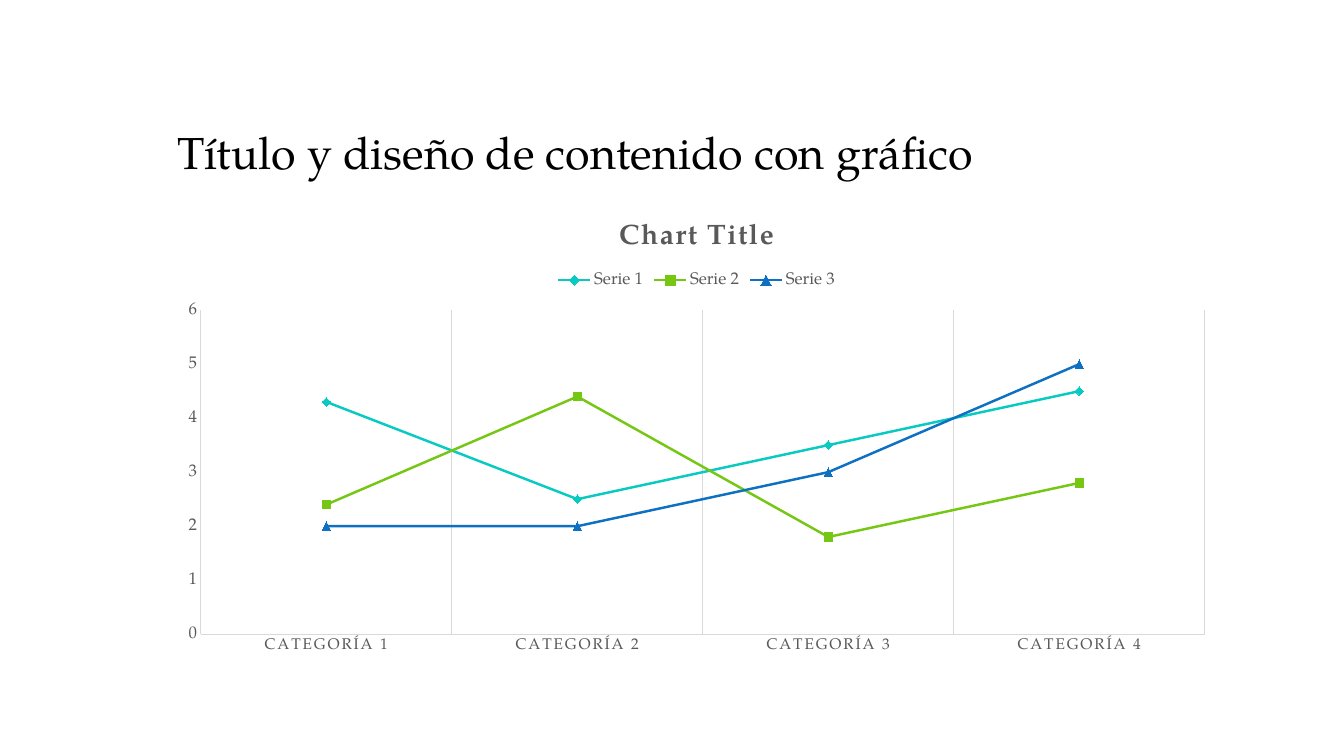
from pptx import Presentation
from pptx import util as u
from pptx.chart.data import CategoryChartData
from pptx.dml.color import RGBColor
from pptx.enum import chart as kinds, text

FACE = "TeX Gyre Pagella"
HUES = {
    "black": "000000",
    "gray": "595959",
    "rule": "D9D9D9",
    "teal": "08CAC1",
    "green": "76C714",
    "blue": "0E70C2",
}
MARKS = kinds.XL_MARKER_STYLE
CATS = [f"CATEGORÍA {n}" for n in range(1, 5)]
SERIES = [
    ("Serie 1", (4.3, 2.5, 3.5, 4.5), "teal", MARKS.DIAMOND),
    ("Serie 2", (2.4, 4.4, 1.8, 2.8), "green", MARKS.SQUARE),
    ("Serie 3", (2, 2, 3, 5), "blue", MARKS.TRIANGLE),
]


def color(name):
    return RGBColor.from_string(HUES[name])


def set_font(font, size, hue, bold=False):
    font.name = FACE
    font.size = u.Pt(size)
    font.bold = bold
    font.color.rgb = color(hue)


def set_line(line, hue, width):
    line.color.rgb = color(hue)
    line.width = u.Pt(width)


def set_fill(fill, hue):
    fill.solid()
    fill.fore_color.rgb = color(hue)


def put_title(slide, words):
    title = slide.shapes.title
    title.left, title.top = u.Inches(1.66), u.Inches(0.58)
    title.width, title.height = u.Inches(10.5), u.Inches(1.25)
    frame = title.text_frame
    frame.text = words
    frame.word_wrap = True
    frame.auto_size = text.MSO_AUTO_SIZE.NONE
    frame.vertical_anchor = text.MSO_ANCHOR.BOTTOM
    para = frame.paragraphs[0]
    para.alignment = text.PP_ALIGN.LEFT
    para.line_spacing = 0.9
    set_font(para.font, 32, "black")


def style_axis(axis, size, grid):
    axis.major_tick_mark = kinds.XL_TICK_MARK.NONE
    axis.minor_tick_mark = kinds.XL_TICK_MARK.NONE
    axis.has_major_gridlines = grid
    if grid:
        set_line(axis.major_gridlines.format.line, "rule", 0.75)
    set_line(axis.format.line, "rule", 0.75)
    set_font(axis.tick_labels.font, size, "gray")


def style_plot(series, hue, mark):
    series.smooth = False
    set_line(series.format.line, hue, 1.75)
    series.marker.style = mark
    series.marker.size = 6
    set_fill(series.marker.format.fill, hue)
    set_line(series.marker.format.line, hue, 0.75)


def put_chart(slide):
    data = CategoryChartData()
    data.categories = CATS
    for name, vals, _, _ in SERIES:
        data.add_series(name, vals)
    chart = slide.shapes.add_chart(
        kinds.XL_CHART_TYPE.LINE_MARKERS,
        u.Inches(1.66), u.Inches(2), u.Inches(10.5), u.Inches(4.58), data,
    ).chart
    set_font(chart.font, 10, "black")

    chart.has_title = True
    frame = chart.chart_title.text_frame
    frame.text = "Chart Title"
    para = frame.paragraphs[0]
    set_font(para.font, 20, "gray", True)
    para.font._element.set("spc", "100")
    chart.chart_title.include_in_layout = False

    chart.has_legend = True
    chart.legend.position = kinds.XL_LEGEND_POSITION.TOP
    chart.legend.include_in_layout = False
    set_font(chart.legend.font, 12, "gray")

    style_axis(chart.category_axis, 11, True)
    chart.category_axis.tick_labels.font._element.set("spc", "120")
    style_axis(chart.value_axis, 12, False)
    chart.value_axis.minimum_scale = 0
    chart.value_axis.maximum_scale = 6
    chart.value_axis.major_unit = 1

    plot = chart.plots[0]
    plot.vary_by_categories = False
    for series, (_, _, hue, mark) in zip(plot.series, SERIES):
        style_plot(series, hue, mark)


def main():
    deck = Presentation()
    deck.slide_width, deck.slide_height = u.Inches(13.33), u.Inches(7.5)
    slide = deck.slides.add_slide(deck.slide_layouts[5])
    set_fill(slide.background.fill, "white") if "white" in HUES else None
    put_title(slide, "Título y diseño de contenido con gráfico")
    put_chart(slide)
    deck.save("out.pptx")


if __name__ == "__main__":
    main()
